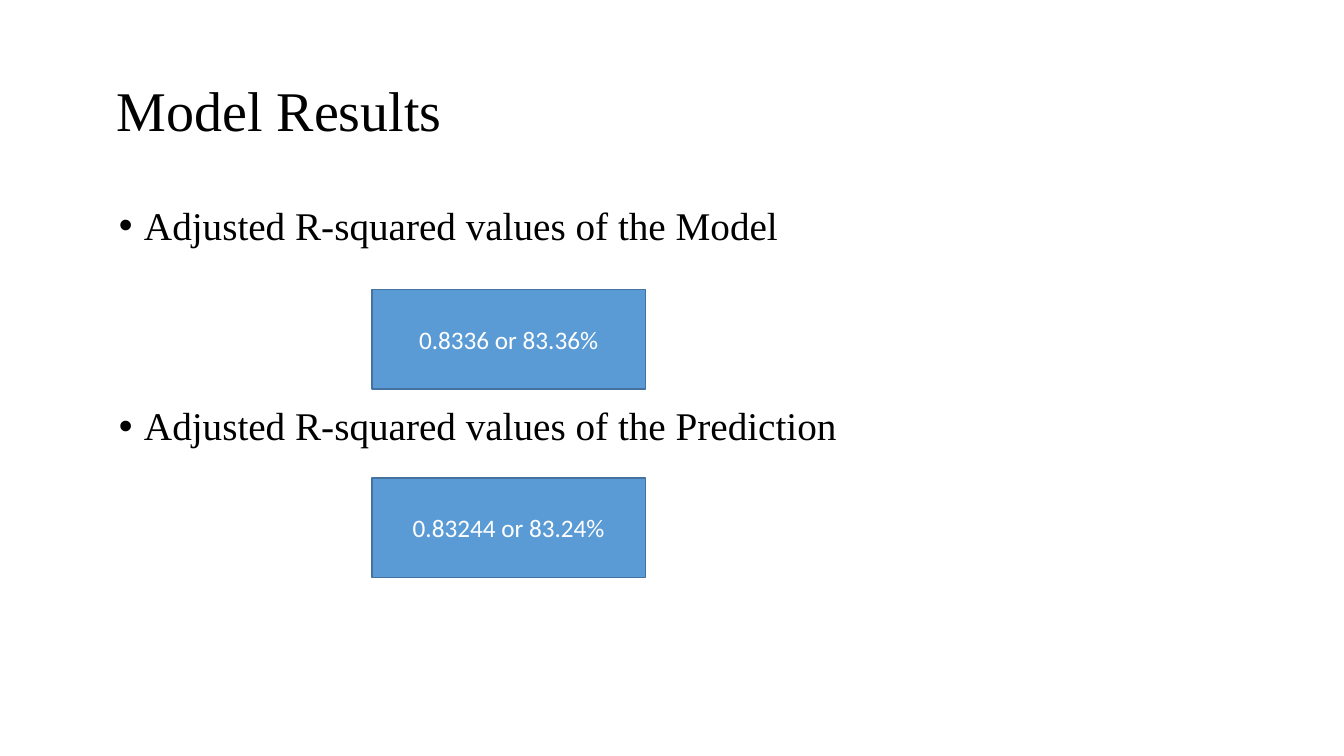
from pptx import Presentation
from pptx.dml.color import RGBColor
from pptx.enum.shapes import MSO_SHAPE
from pptx.enum.text import MSO_ANCHOR, PP_ALIGN
from pptx.oxml.ns import qn
from pptx.util import Inches, Pt
from lxml import etree

RECT = MSO_SHAPE.RECTANGLE
TOP, MIDDLE = MSO_ANCHOR.TOP, MSO_ANCHOR.MIDDLE
LEFT, CENTER = PP_ALIGN.LEFT, PP_ALIGN.CENTER

BLACK = RGBColor(0x00, 0x00, 0x00)
WHITE = RGBColor(0xFF, 0xFF, 0xFF)
BLUE = RGBColor(0x5B, 0x9B, 0xD5)
DARK_BLUE = RGBColor(0x43, 0x73, 0x9E)

TITLE = {"name": "Times New Roman", "size": Pt(40), "color": BLACK}
BODY = {"name": "Times New Roman", "size": Pt(28), "color": BLACK}
VALUE = {"name": "Calibri", "size": Pt(18), "color": WHITE}


class SlideBuilder:
    def __init__(self, prs):
        self.s = prs.slides.add_slide(prs.slide_layouts[6])

    def add_text(self, p, text, style, **para):
        for key, value in para.items():
            setattr(p, key, value)
        r = p.add_run()
        r.text = text
        for key, value in style.items():
            if key == "color":
                r.font.color.rgb = value
            else:
                setattr(r.font, key, value)

    def textbox(self, box, anchor):
        tf = self.s.shapes.add_textbox(*map(Inches, box)).text_frame
        tf.word_wrap = True
        tf.vertical_anchor = anchor
        return tf

    def title(self, text, box):
        p = self.textbox(box, MIDDLE).paragraphs[0]
        self.add_text(p, text, TITLE, alignment=LEFT, line_spacing=0.9)

    def bullets(self, items, box):
        tf = self.textbox(box, TOP)
        for i, (text, gap) in enumerate(items):
            p = tf.add_paragraph() if i else tf.paragraphs[0]
            self.add_text(p, text, BODY, alignment=LEFT, line_spacing=0.9,
                          space_before=Pt(gap))
            # Hanging bullet
            pPr = p._p.get_or_add_pPr()
            pPr.set("marL", str(Inches(0.25)))
            pPr.set("indent", str(Inches(-0.25)))
            etree.SubElement(pPr, qn("a:buFont")).set("typeface", "Arial")
            etree.SubElement(pPr, qn("a:buChar")).set("char", "•")

    def value_box(self, text, box):
        sp = self.s.shapes.add_shape(RECT, *map(Inches, box))
        sp.shadow.inherit = False
        sp.fill.solid()
        sp.fill.fore_color.rgb = BLUE
        sp.line.color.rgb = DARK_BLUE
        sp.line.width = Pt(1)
        tf = sp.text_frame
        tf.word_wrap = True
        tf.vertical_anchor = MIDDLE
        self.add_text(tf.paragraphs[0], text, VALUE, alignment=CENTER)


def main():
    prs = Presentation()
    prs.slide_width, prs.slide_height = Inches(13.33), Inches(7.5)
    slide = SlideBuilder(prs)

    # Heading
    slide.title("Model Results", (1.06, 0.4, 11.36, 1.45))

    # Bullets, with room for a value box after the first
    slide.bullets([("Adjusted R-squared values of the Model", 10),
                   ("Adjusted R-squared values of the Prediction", 113)],
                  (1.08, 2, 11.34, 4.76))

    # Value boxes
    for text, top in (("0.8336 or 83.36%", 2.87), ("0.83244 or 83.24%", 4.74)):
        slide.value_box(text, (3.69, top, 2.71, 0.99))

    prs.save("out.pptx")


if __name__ == "__main__":
    main()
